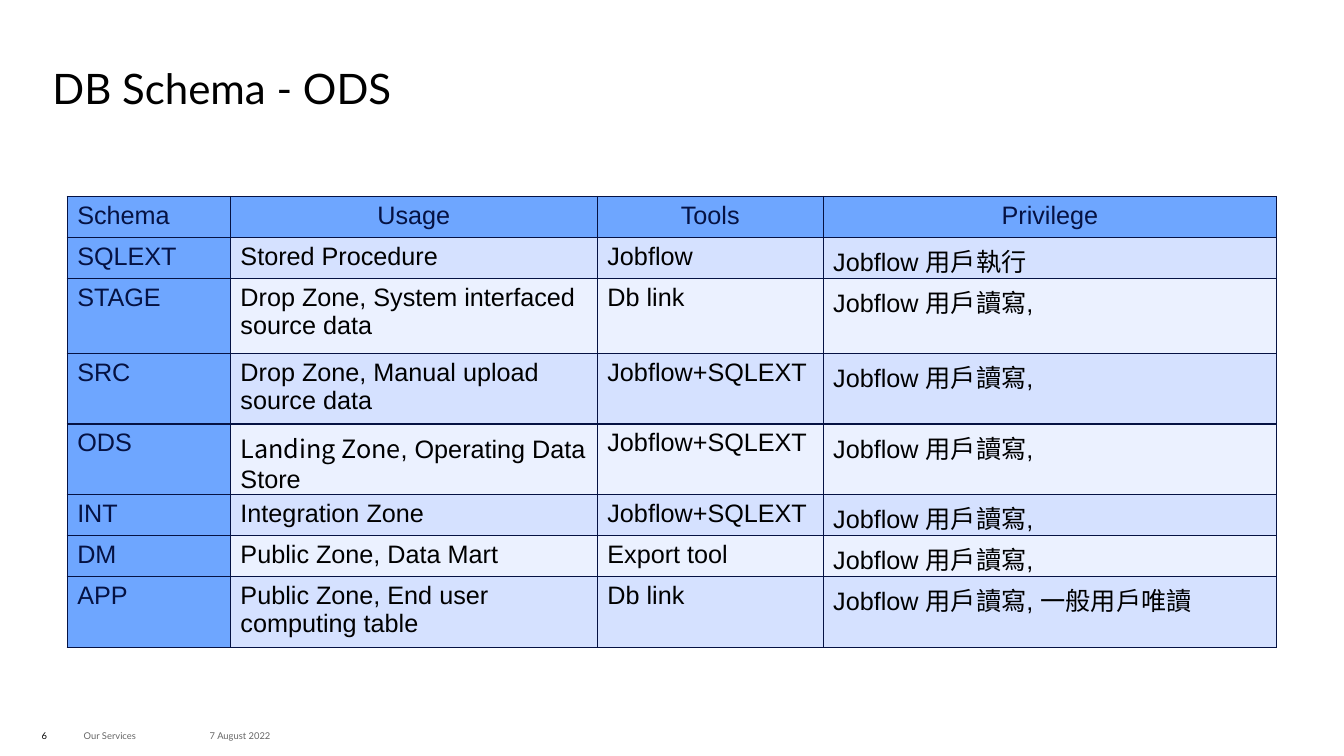
"""Builds the ODS database schema slide."""
from pptx import Presentation
from pptx.dml.color import RGBColor
from pptx.enum import text as t
from pptx.oxml import parse_xml
from pptx.oxml.ns import nsdecls
from pptx.util import Pt

HUES = {"ink": "000000", "grey": "666666", "navy": "051243",
        "head": "6EA6FF", "odd": "D5E1FF", "even": "EBF1FF"}
CJK = "Noto Sans CJK SC"


def style(run, size, face, hue):
    font = run.font
    font.size, font.name, font.bold = Pt(size), face, False
    font.color.rgb = RGBColor.from_string(HUES[hue])
    run._r.get_or_add_rPr().append(
        parse_xml(f'<a:ea {nsdecls("a")} typeface="{CJK}"/>'))


def label(words, left, top, width, height, size, hue, pads, anchor):
    frame = slide.shapes.add_textbox(
        Pt(left), Pt(top), Pt(width), Pt(height)).text_frame
    frame.word_wrap = True
    frame.vertical_anchor = anchor
    frame.margin_left = frame.margin_right = Pt(pads[0])
    frame.margin_top = frame.margin_bottom = Pt(pads[1])
    frame.text = words
    style(frame.paragraphs[0].runs[0], size, "Lato", hue)
    return frame


deck = Presentation()
deck.slide_width, deck.slide_height = Pt(960), Pt(540)
slide = deck.slides.add_slide(deck.slide_layouts[6])

title = label("DB Schema - ODS", 30.4, 45.2, 674, 75, 30, "ink",
              (7.2, 3.6), t.MSO_ANCHOR.TOP)
title.paragraphs[0].line_spacing = 0.9

for words, left, top, width, hue in [
        ("6", 29.8, 518, 21.6, "ink"),
        ("Our Services", 59.8, 518.4, 80, "grey"),
        ("7 August 2022", 149.8, 518.4, 90, "grey")]:
    label(words, left, top, width, 14.4, 6.7, hue, (0, 0), t.MSO_ANCHOR.MIDDLE)

access = "Jobflow 用戶讀寫,"
rows = [
    ("Schema", "Usage", "Tools", "Privilege"),
    ("SQLEXT", "Stored Procedure", "Jobflow", "Jobflow 用戶執行"),
    ("STAGE", "Drop Zone, System interfaced source data", "Db link", access),
    ("SRC", "Drop Zone, Manual upload source data", "Jobflow+SQLEXT", access),
    ("ODS", "Landing Zone", "Jobflow+SQLEXT", access),
    ("INT", "Integration Zone", "Jobflow+SQLEXT", access),
    ("DM", "Public Zone, Data Mart", "Export tool", access),
    ("APP", "Public Zone, End user computing table", "Db link",
     access + " 一般用戶唯讀"),
]
widths = [116.6, 262.1, 161.3, 324]
heights = [53.5 if row[0] == "STAGE" else 29.3 for row in rows]
grid = slide.shapes.add_table(
    len(rows), len(widths), Pt(48), Pt(140.4), Pt(sum(widths)),
    Pt(sum(heights))).table
grid.first_row = grid.horz_banding = False
for col, width in zip(grid.columns, widths):
    col.width = Pt(width)

for i, texts in enumerate(rows):
    grid.rows[i].height = Pt(heights[i])
    for j, words in enumerate(texts):
        cell = grid.cell(i, j)
        edge = i == 0 or j == 0
        for side in "LRTB":
            cell._tc.get_or_add_tcPr().append(parse_xml(
                f'<a:ln{side} {nsdecls("a")} w="{Pt(1)}"><a:solidFill>'
                f'<a:srgbClr val="{HUES["navy"]}"/></a:solidFill></a:ln{side}>'))
        cell.fill.solid()
        band = "head" if edge else "odd" if i % 2 else "even"
        cell.fill.fore_color.rgb = RGBColor.from_string(HUES[band])
        cell.text = words
        para = cell.text_frame.paragraphs[0]
        if i == 0 and j > 0:
            para.alignment = t.PP_ALIGN.CENTER
        face = CJK if words == "Landing Zone" else "Arial"
        style(para.runs[0], 18, face, "navy" if edge else "ink")

rest = grid.cell(4, 1).text_frame.paragraphs[0].add_run()
rest.text = ", Operating Data Store"
style(rest, 18, "Arial", "ink")

deck.save("out.pptx")
